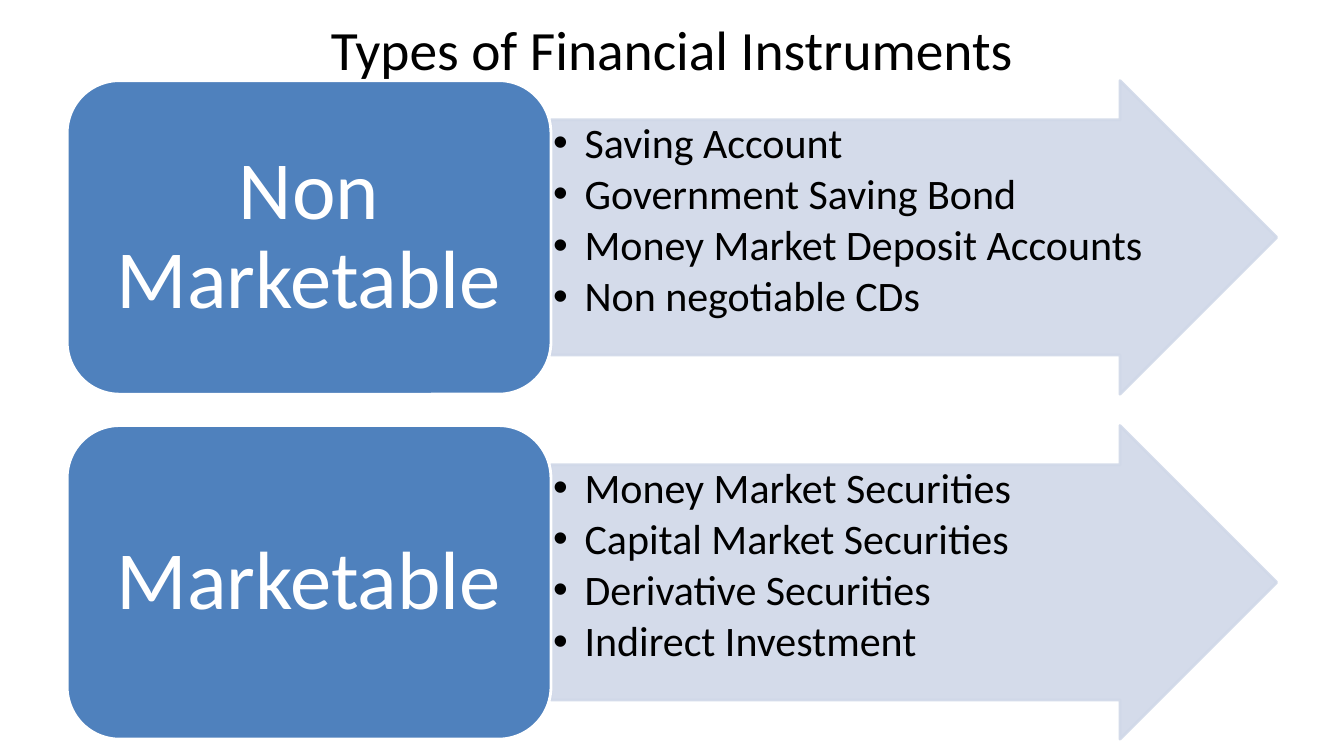
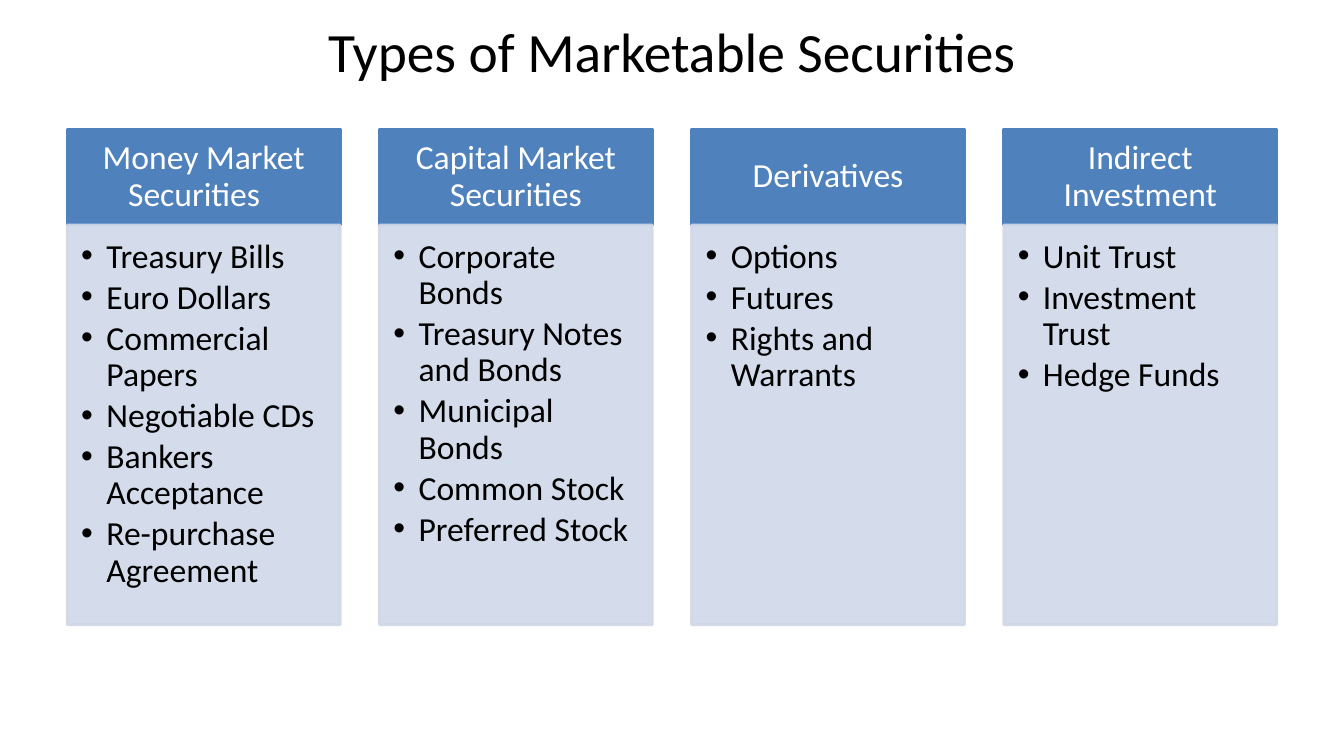
from lxml import etree
from pptx import Presentation
from pptx.dml.color import RGBColor
from pptx.enum.shapes import MSO_SHAPE
from pptx.enum.text import MSO_ANCHOR, PP_ALIGN
from pptx.oxml.ns import qn
from pptx.util import Pt

ARROW = MSO_SHAPE.RIGHT_ARROW
ROUNDED = MSO_SHAPE.ROUNDED_RECTANGLE
RECTANGLE = MSO_SHAPE.RECTANGLE
TOP, MIDDLE = MSO_ANCHOR.TOP, MSO_ANCHOR.MIDDLE
LEFT, CENTER = PP_ALIGN.LEFT, PP_ALIGN.CENTER

INSTRUMENTS = [
    ("Non Marketable", ["Saving Account", "Government Saving Bond",
                        "Money Market Deposit Accounts", "Non negotiable CDs"]),
    ("Marketable", ["Money Market Securities", "Capital Market Securities",
                    "Derivative Securities", "Indirect Investment"]),
]
SECURITIES = [
    ("Money Market Securities\t", ["Treasury Bills", "Euro Dollars", "Commercial Papers",
                                   "Negotiable CDs", "Bankers Acceptance",
                                   "Re-purchase Agreement"]),
    ("Capital Market Securities", ["Corporate Bonds", "Treasury Notes and Bonds",
                                   "Municipal Bonds", "Common Stock", "Preferred Stock"]),
    ("Derivatives", ["Options", "Futures", "Rights and Warrants"]),
    ("Indirect Investment", ["Unit Trust", "Investment Trust", "Hedge Funds"]),
]

COLORS = {"accent": "4F81BD", "pale": "D0D8E8", "white": "FFFFFF", "black": "000000"}
FONT = "Calibri"
PAGE_WIDTH, PAGE_HEIGHT = 960, 540
MARGIN = 48
CONTENT_WIDTH = PAGE_WIDTH - 2 * MARGIN
TITLE_HEIGHT = 58
PALE_ALPHA = 90


def write_text(shape, lines, *, size, color="black", align=CENTER, anchor=MIDDLE,
               insets=(0, 0, 0, 0), line_spacing=0.9, indent=0):
    frame = shape.text_frame
    frame.word_wrap = True
    frame.vertical_anchor = anchor
    (frame.margin_left, frame.margin_top,
     frame.margin_right, frame.margin_bottom) = map(Pt, insets)
    for index, line in enumerate(lines):
        para = frame.paragraphs[0] if index == 0 else frame.add_paragraph()
        para.alignment = align
        para.line_spacing = line_spacing
        if indent:
            para.space_after = Pt(round(size * 0.14, 1))
            properties = para._p.get_or_add_pPr()
            properties.set("marL", str(Pt(indent)))
            properties.set("indent", str(-Pt(indent)))
            etree.SubElement(properties, qn("a:buFont"), typeface="Arial")
            etree.SubElement(properties, qn("a:buChar"), char="•")
        span = para.add_run()
        span.text = line
        span.font.name = FONT
        span.font.size = Pt(size)
        span.font.color.rgb = RGBColor.from_string(COLORS[color])


def add_panel(page, kind, left, top, width, height, *, fill, line, alpha=None):
    panel = page.shapes.add_shape(kind, Pt(left), Pt(top), Pt(width), Pt(height))
    panel.shadow.inherit = False
    panel.fill.solid()
    panel.fill.fore_color.rgb = RGBColor.from_string(COLORS[fill])
    panel.line.color.rgb = RGBColor.from_string(COLORS[line])
    panel.line.width = Pt(2)
    if alpha:
        for color in panel._element.spPr.iter(qn("a:srgbClr")):
            etree.SubElement(color, qn("a:alpha"), val=str(alpha * 1000))
    return panel


def add_page(deck, title, title_top):
    page = deck.slides.add_slide(deck.slide_layouts[6])
    box = page.shapes.add_textbox(Pt(MARGIN), Pt(title_top), Pt(CONTENT_WIDTH), Pt(TITLE_HEIGHT))
    write_text(box, [title], size=39.6, line_spacing=1)
    return page


def build_instruments(deck):
    page = add_page(deck, "Types of Financial Instruments", 5.6)
    label_width = CONTENT_WIDTH * 0.4
    first_top, row_height = 57.6, 224
    for index, (name, items) in enumerate(INSTRUMENTS):
        top = first_top + index * row_height * 1.1
        arrow = add_panel(page, ARROW, MARGIN + label_width, top, CONTENT_WIDTH - label_width,
                          row_height, fill="pale", line="pale", alpha=PALE_ALPHA)
        arrow.adjustments[0] = 0.75
        arrow.adjustments[1] = 0.5
        write_text(arrow, items, size=30, align=LEFT, anchor=TOP,
                   insets=(1.5, 1.5, 1.5, 1.5), indent=22.5)
        label = add_panel(page, ROUNDED, MARGIN, top, label_width, row_height,
                          fill="accent", line="white")
        write_text(label, [name], size=59, color="white", insets=(18, 9, 18, 9))


def build_securities(deck):
    page = add_page(deck, "Types of Marketable Securities", 7)
    top, header_height, body_height = 92.2, 68.6, 285.4
    gap = 28
    count = len(SECURITIES)
    width = (CONTENT_WIDTH - gap * (count - 1)) / count
    for index, (name, items) in enumerate(SECURITIES):
        left = MARGIN + index * (width + gap)
        header = add_panel(page, RECTANGLE, left, top, width, header_height,
                           fill="accent", line="accent")
        write_text(header, [name], size=24, color="white", insets=(13.5, 8, 13.5, 8))
        body = add_panel(page, RECTANGLE, left, top + header_height, width, body_height,
                         fill="pale", line="pale", alpha=PALE_ALPHA)
        write_text(body, items, size=24, align=LEFT, anchor=TOP,
                   insets=(10, 10, 13.5, 15), indent=18)


def main():
    deck = Presentation()
    deck.slide_width, deck.slide_height = Pt(PAGE_WIDTH), Pt(PAGE_HEIGHT)
    build_instruments(deck)
    build_securities(deck)
    deck.save("out.pptx")


if __name__ == "__main__":
    main()
